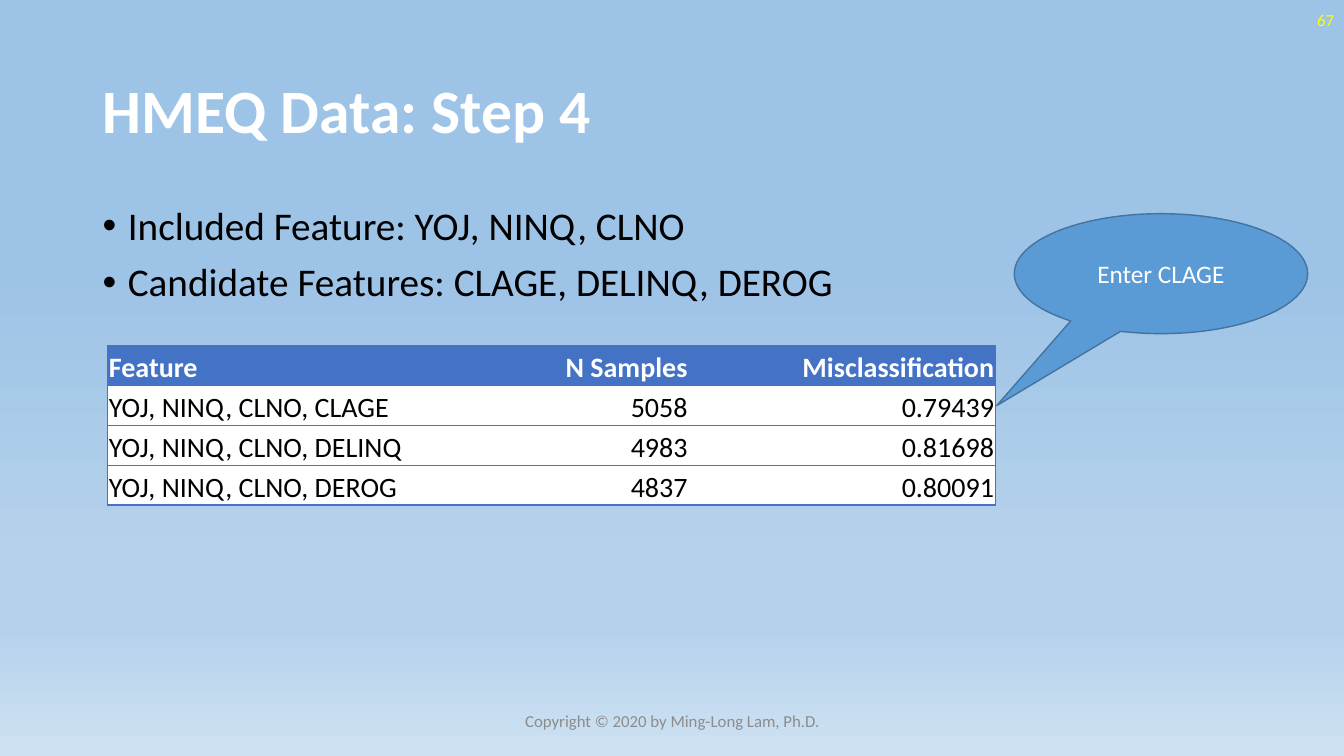
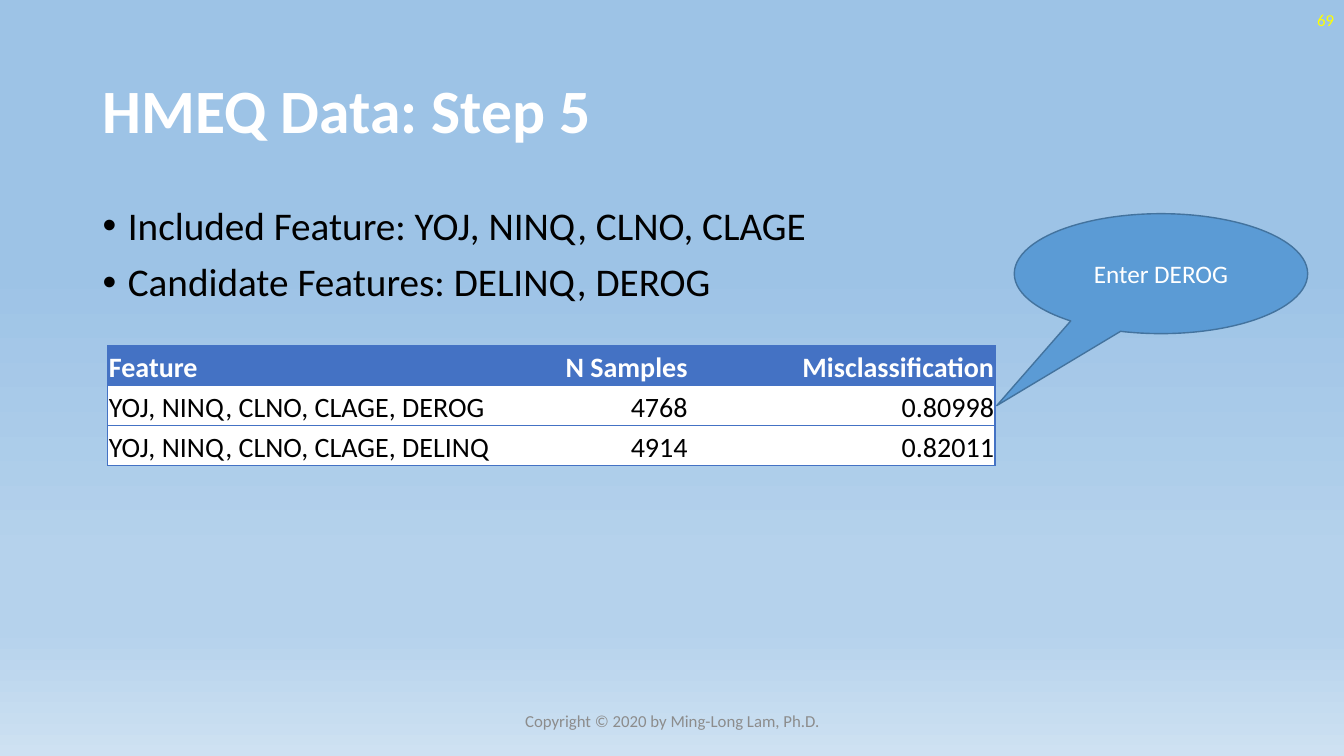
from lxml.etree import SubElement
from pptx import Presentation
from pptx.dml.color import RGBColor
from pptx.enum.shapes import MSO_SHAPE
from pptx.enum.text import MSO_ANCHOR, MSO_AUTO_SIZE, PP_ALIGN
from pptx.oxml.ns import qn
from pptx.util import Inches, Pt

COLORS = {
    "sky": "9DC3E6",
    "haze": "B5D2EC",
    "horizon": "CEE1F2",
    "white": "FFFFFF",
    "black": "000000",
    "yellow": "FFFF00",
    "gray": "8C8C8C",
    "table": "4472C4",
    "callout": "5B9BD5",
    "callout_line": "43739E",
}
GRADIENT = [(35, "sky"), (74, "haze"), (83, "haze"), (100, "horizon")]
HEADER = ["Feature", "N Samples", "Misclassification"]
COPYRIGHT = "Copyright © 2020 by Ming-Long Lam, Ph.D."
TITLE_ONLY = 5

STEPS = [
    {
        "number": "67",
        "title": "HMEQ Data: Step 4",
        "bullets": [
            "Included Feature: YOJ, NINQ, CLNO",
            "Candidate Features: CLAGE, DELINQ, DEROG",
        ],
        "rows": [
            ["YOJ, NINQ, CLNO, CLAGE", "5058", "0.79439"],
            ["YOJ, NINQ, CLNO, DELINQ", "4983", "0.81698"],
            ["YOJ, NINQ, CLNO, DEROG", "4837", "0.80091"],
        ],
        "widths": [3.35, 2.41, 3.04],
        "callout": "Enter CLAGE",
    },
    {
        "number": "69",
        "title": "HMEQ Data: Step 5",
        "bullets": [
            "Included Feature: YOJ, NINQ, CLNO, CLAGE",
            "Candidate Features: DELINQ, DEROG",
        ],
        "rows": [
            ["YOJ, NINQ, CLNO, CLAGE, DEROG", "4768", "0.80998"],
            ["YOJ, NINQ, CLNO, CLAGE, DELINQ", "4914", "0.82011"],
        ],
        "widths": [3.94, 1.82, 3.04],
        "callout": "Enter DEROG",
    },
]


def color(name):
    return RGBColor.from_string(COLORS[name])


class StepDeck:
    font = "Calibri"

    def __init__(self):
        self.deck = Presentation()
        self.deck.slide_width = Inches(13.33)
        self.deck.slide_height = Inches(7.5)
        self.page = None
        self.set_background()

    def set_background(self):
        master = self.deck.slide_master
        fill = master.background.fill
        fill.gradient()
        fill.gradient_angle = 270
        stops = master.element.find(".//" + qn("p:bgPr")).find(".//" + qn("a:gsLst"))
        for stop in list(stops):
            stops.remove(stop)
        for percent, name in GRADIENT:
            stop = SubElement(stops, qn("a:gs"), pos=str(percent * 1000))
            SubElement(stop, qn("a:srgbClr"), val=COLORS[name])

    def format_text(self, paragraph, size, name, align=PP_ALIGN.LEFT, bold=False):
        paragraph.alignment = align
        for span in paragraph.runs:
            span.font.name = self.font
            span.font.size = Pt(size)
            span.font.bold = bold
            span.font.color.rgb = color(name)

    def add_page(self, title):
        self.page = self.deck.slides.add_slide(self.deck.slide_layouts[TITLE_ONLY])
        box = self.page.shapes.title
        box.left, box.top = Inches(0.92), Inches(0.4)
        box.width, box.height = Inches(11.5), Inches(1.45)
        frame = box.text_frame
        frame.text = title
        frame.word_wrap = True
        frame.auto_size = MSO_AUTO_SIZE.NONE
        frame.vertical_anchor = MSO_ANCHOR.MIDDLE
        para = frame.paragraphs[0]
        para.line_spacing = 0.9
        self.format_text(para, 44, "white", bold=True)

    def add_frame(self, left, top, width, height, anchor):
        box = self.page.shapes.add_textbox(
            Inches(left), Inches(top), Inches(width), Inches(height)
        )
        frame = box.text_frame
        frame.word_wrap = True
        frame.vertical_anchor = anchor
        return frame

    def add_label(self, text, left, top, width, name, align):
        frame = self.add_frame(left, top, width, 0.4, MSO_ANCHOR.MIDDLE)
        frame.text = text
        self.format_text(frame.paragraphs[0], 12, name, align)

    def add_bullets(self, items):
        frame = self.add_frame(0.92, 2, 11.5, 1.19, MSO_ANCHOR.TOP)
        for index, item in enumerate(items):
            para = frame.add_paragraph() if index else frame.paragraphs[0]
            para.text = item
            properties = para._p.get_or_add_pPr()
            properties.set("marL", str(Inches(0.25)))
            properties.set("indent", str(-Inches(0.25)))
            SubElement(properties, qn("a:buFont"), typeface="Arial")
            SubElement(properties, qn("a:buChar"), char="•")
            para.line_spacing = 0.9
            if index:
                para.space_before = Pt(10)
            self.format_text(para, 28, "black")

    def add_borders(self, cell, visible):
        properties = cell._tc.get_or_add_tcPr()
        for side in "LRTB":
            line = SubElement(properties, qn("a:ln" + side), w=str(Pt(1)))
            if side in visible:
                fill = SubElement(line, qn("a:solidFill"))
                SubElement(fill, qn("a:srgbClr"), val=COLORS["table"])
            else:
                SubElement(line, qn("a:noFill"))

    def add_table(self, rows, widths):
        content = [HEADER] + rows
        table = self.page.shapes.add_table(
            len(content), len(widths), Inches(1.07), Inches(3.43),
            Inches(sum(widths)), Inches(1.58 * len(content) / 4),
        ).table
        table.horz_banding = False
        for column, width in zip(table.columns, widths):
            column.width = Inches(width)
        last = len(widths) - 1
        for row_index, values in enumerate(content):
            heading = row_index == 0
            for column_index, value in enumerate(values):
                cell = table.cell(row_index, column_index)
                cell.text = value
                cell.margin_left = cell.margin_right = cell.margin_top = Inches(0.01)
                cell.margin_bottom = 0
                cell.vertical_anchor = MSO_ANCHOR.BOTTOM
                self.add_borders(cell, "TB" + {0: "L", last: "R"}.get(column_index, ""))
                cell.fill.solid()
                cell.fill.fore_color.rgb = color("table" if heading else "white")
                self.format_text(
                    cell.text_frame.paragraphs[0], 20,
                    "white" if heading else "black",
                    PP_ALIGN.RIGHT if column_index else PP_ALIGN.LEFT, heading,
                )

    def add_callout(self, text):
        shape = self.page.shapes.add_shape(
            MSO_SHAPE.OVAL_CALLOUT,
            Inches(10.06), Inches(2.12), Inches(2.91), Inches(1.19),
        )
        shape.adjustments[0], shape.adjustments[1] = -0.56, 1.1
        shape.shadow.inherit = False
        shape.fill.solid()
        shape.fill.fore_color.rgb = color("callout")
        shape.line.color.rgb = color("callout_line")
        shape.line.width = Pt(1)
        frame = shape.text_frame
        frame.text = text
        frame.word_wrap = True
        frame.vertical_anchor = MSO_ANCHOR.MIDDLE
        self.format_text(frame.paragraphs[0], 18, "white", PP_ALIGN.CENTER)

    def add_step(self, step):
        self.add_page(step["title"])
        self.add_bullets(step["bullets"])
        self.add_label(step["number"], 10.33, 0, 3, "yellow", PP_ALIGN.RIGHT)
        self.add_label(COPYRIGHT, 4.42, 6.95, 4.5, "gray", PP_ALIGN.CENTER)
        self.add_table(step["rows"], step["widths"])
        self.add_callout(step["callout"])


def main():
    steps = StepDeck()
    for step in STEPS:
        steps.add_step(step)
    steps.deck.save("out.pptx")


if __name__ == "__main__":
    main()
